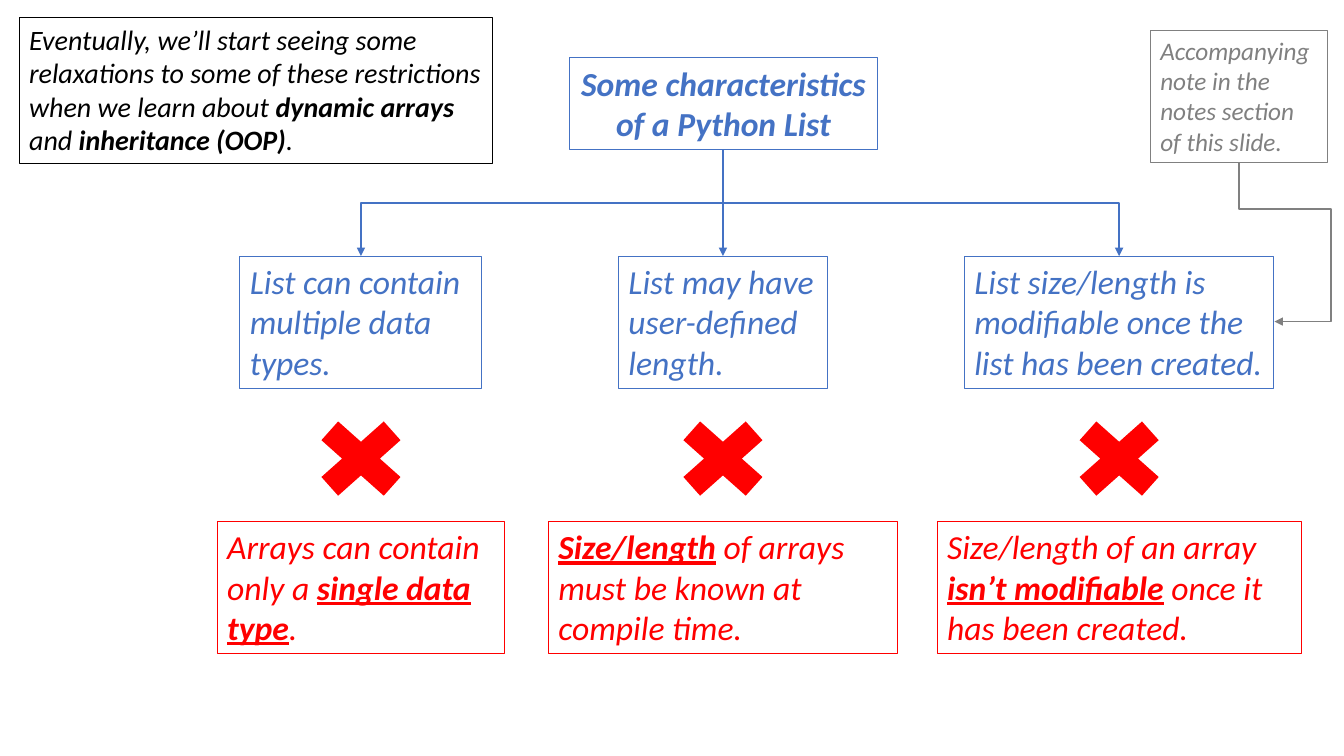
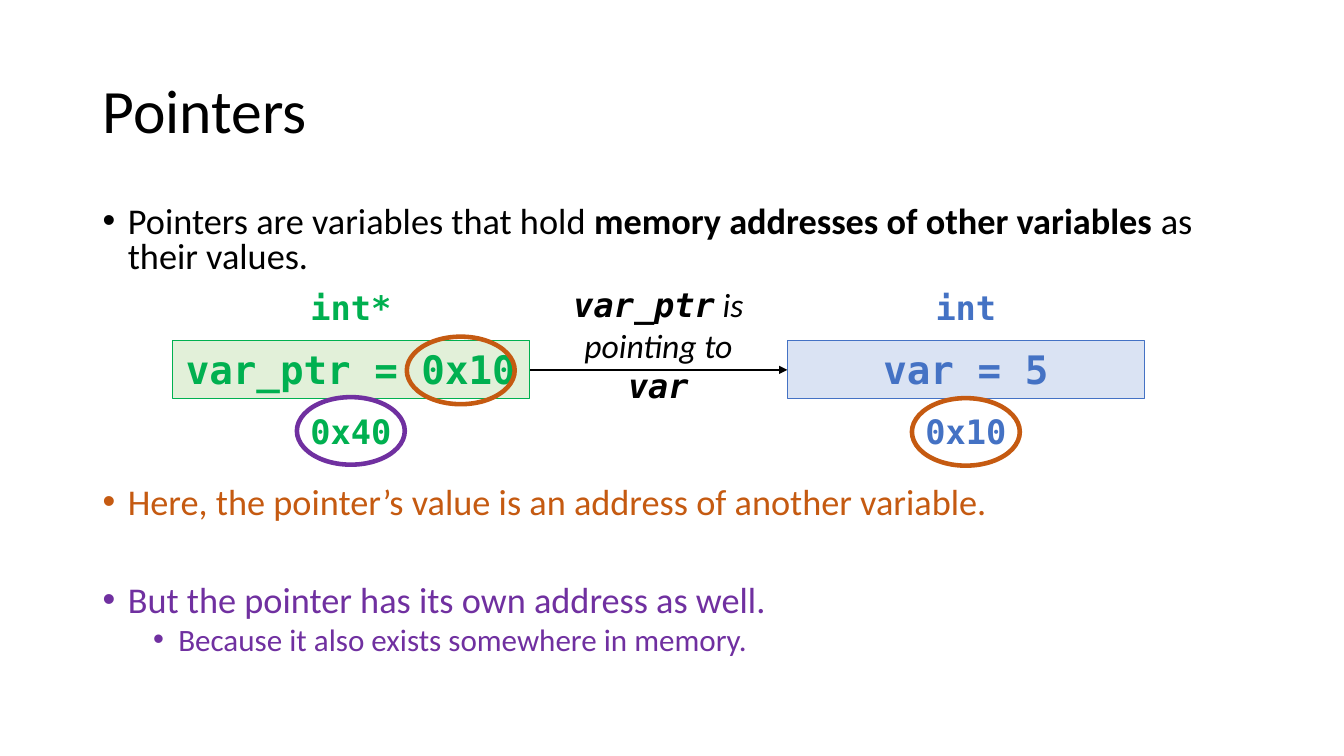
from lxml import etree
from pptx import Presentation
from pptx.dml.color import RGBColor
from pptx.enum import shapes, text
from pptx.oxml import ns
from pptx.util import Inches, Pt

BLACK = RGBColor(0x00, 0x00, 0x00)
GRAY = RGBColor(0x80, 0x80, 0x80)
BLUE = RGBColor(0x44, 0x72, 0xC4)
PALE_BLUE = RGBColor(0xDA, 0xE3, 0xF3)
GREEN = RGBColor(0x00, 0xB0, 0x50)
PALE_GREEN = RGBColor(0xE2, 0xF0, 0xD9)
RED = RGBColor(0xFF, 0x00, 0x00)
ORANGE = RGBColor(0xC5, 0x5A, 0x11)
PURPLE = RGBColor(0x70, 0x30, 0xA0)

SANS = "Calibri"
MONO = "DejaVu Sans Mono"
BOLD = {"bold": True}
KEY = {"bold": True, "underline": True}
CODE = {"name": MONO, "bold": True, "italic": True}

LEFT = text.PP_ALIGN.LEFT
CENTER = text.PP_ALIGN.CENTER
TOP = text.MSO_ANCHOR.TOP
MIDDLE = text.MSO_ANCHOR.MIDDLE


class Deck:
    def __init__(self):
        self.file = Presentation()
        self.file.slide_width = Inches(13.33)
        self.file.slide_height = Inches(7.5)
        self.page = None

    def new_page(self):
        self.page = self.file.slides.add_slide(self.file.slide_layouts[6])

    def fill_para(self, para, spans, size, color, font=SANS, bold=False, italic=False,
                  align=LEFT):
        """Fill a paragraph; a span is a string or (string, font settings that differ)."""
        para.alignment = align
        para.font.name = font
        para.font.size = Pt(size)
        para.font.color.rgb = color
        para.font.bold = bold
        para.font.italic = italic
        for span in spans:
            words, changes = (span, {}) if isinstance(span, str) else span
            run = para.add_run()
            run.text = words
            for name, value in changes.items():
                if name == "name":
                    run.font.name = value
                elif name == "bold":
                    run.font.bold = value
                elif name == "italic":
                    run.font.italic = value
                else:
                    run.font.underline = value

    def shape(self, kind, left, top, width, height, fill=None, line=None, weight=0.75):
        shape = self.page.shapes.add_shape(
            kind, Inches(left), Inches(top), Inches(width), Inches(height))
        shape.shadow.inherit = False
        if fill is None:
            shape.fill.background()
        else:
            shape.fill.solid()
            shape.fill.fore_color.rgb = fill
        if line is None:
            shape.line.fill.background()
        else:
            shape.line.color.rgb = line
            shape.line.width = Pt(weight)
        return shape

    def box(self, left, top, width, height, spans, size, color, fill=None, **style):
        """Text in a rectangle outlined in the text colour."""
        box = self.shape(shapes.MSO_SHAPE.RECTANGLE, left, top, width, height, fill, color)
        box.text_frame.word_wrap = True
        box.text_frame.vertical_anchor = TOP
        self.fill_para(box.text_frame.paragraphs[0], spans, size, color, **style)

    def frame(self, left, top, width, height, anchor=TOP):
        """Empty wrapping text frame."""
        box = self.page.shapes.add_textbox(
            Inches(left), Inches(top), Inches(width), Inches(height))
        box.text_frame.word_wrap = True
        box.text_frame.vertical_anchor = anchor
        return box.text_frame

    def label(self, left, top, width, height, spans, size, color, **style):
        frame = self.frame(left, top, width, height)
        self.fill_para(frame.paragraphs[0], spans, size, color, align=CENTER, **style)

    def title(self, words):
        para = self.frame(0.92, 0.4, 11.5, 1.45, MIDDLE).paragraphs[0]
        para.line_spacing = 0.9
        self.fill_para(para, [words], 44, BLACK)

    def bullets(self, items):
        """Bulleted body; an item is (level, space before, size, colour, spans)."""
        frame = self.frame(0.92, 2, 11.5, 4.76)
        for index, (level, space, size, color, spans) in enumerate(items):
            para = frame.add_paragraph() if index else frame.paragraphs[0]
            para.level = level
            para.line_spacing = 0.8
            if space:
                para.space_before = Pt(space)
            props = para._p.get_or_add_pPr()
            props.set("marL", str(Inches(0.25 + 0.5 * level)))
            props.set("indent", str(Inches(-0.25)))
            etree.SubElement(props, ns.qn("a:buFont")).set("typeface", "Arial")
            etree.SubElement(props, ns.qn("a:buChar")).set("char", "•")
            self.fill_para(para, spans, size, color)

    def ring(self, center, top, color):
        self.shape(shapes.MSO_SHAPE.OVAL, center - 0.535, top, 1.07, 0.67,
                   line=color, weight=3.25)

    def arrow(self, start, end, color, weight=1.5, kind=shapes.MSO_CONNECTOR.STRAIGHT):
        line = self.page.shapes.add_connector(kind, *map(Inches, (*start, *end)))
        line.line.color.rgb = color
        line.line.width = Pt(weight)
        props = line._element.spPr
        outline = props.find(ns.qn("a:ln"))
        etree.SubElement(outline, ns.qn("a:tailEnd")).set("type", "triangle")
        etree.SubElement(props, ns.qn("a:effectLst"))
        return line

    def drop_arrow(self, start, end, color, weight=1.5, bends=()):
        """Elbow arrow that leaves downwards: a sideways elbow turned by 90 degrees."""
        (x1, y1), (x2, y2) = start, end
        middle_x, middle_y = (x1 + x2) / 2, (y1 + y2) / 2
        half_width, half_height = (x2 - x1) / 2, (y2 - y1) / 2
        line = self.arrow((middle_x - half_height, middle_y + half_width),
                          (middle_x + half_height, middle_y - half_width),
                          color, weight, shapes.MSO_CONNECTOR.ELBOW)
        props = line._element.spPr
        props.find(ns.qn("a:xfrm")).set("rot", "5400000")
        if bends:
            preset = props.find(ns.qn("a:prstGeom"))
            preset.set("prst", f"bentConnector{len(bends) + 2}")
            guides = preset.find(ns.qn("a:avLst"))
            for number, bend in enumerate(bends, 1):
                guide = etree.SubElement(guides, ns.qn("a:gd"))
                guide.set("name", f"adj{number}")
                guide.set("fmla", f"val {round(bend * 100000)}")


def list_page(deck):
    deck.new_page()
    trunk = (7.17, 1.48)
    columns = [
        (3.58, 2.4, "List can contain multiple data types.",
         2.85, ["Arrays can contain only a ", ("single data type", KEY), "."]),
        (7.17, 2.07, "List may have user-defined length.",
         3.46, [("Size/length", KEY), " of arrays must be known at compile time."]),
        (11.1, 3.07, "List size/length is modifiable once the list has been created.",
         3.61, ["Size/length of an array ", ("isn’t modifiable", KEY),
                " once it has been created."]),
    ]
    deck.box(5.65, 0.57, 3.05, 0.91, ["Some characteristics of a Python List"],
             24, BLUE, bold=True, italic=True, align=CENTER)
    for center, list_width, list_trait, array_width, array_trait in columns:
        deck.box(center - list_width / 2, 2.54, list_width, 1.31, [list_trait],
                 24, BLUE, italic=True)
        connect = deck.arrow if center == trunk[0] else deck.drop_arrow
        connect(trunk, (center, 2.54), BLUE)
        deck.shape(shapes.MSO_SHAPE.MATH_MULTIPLY, center - 0.595, 4.02, 1.19, 1.06, fill=RED)
        deck.box(center - array_width / 2, 5.17, array_width, 1.31, array_trait,
                 24, RED, italic=True)
    deck.box(0.19, 0.17, 4.69, 1.45,
             ["Eventually, we’ll start seeing some relaxations to some of these "
              "restrictions when we learn about ", ("dynamic arrays", BOLD), " and ",
              ("inheritance (OOP)", BOLD), "."], 20, BLACK, italic=True)
    deck.box(11.41, 0.3, 1.76, 1.31, ["Accompanying note in the notes section of this slide."],
             18, GRAY, italic=True)
    deck.drop_arrow((12.29, 1.62), (12.64, 3.19), GRAY, 1.25, bends=(0.29, 2.6))


def pointer_page(deck):
    deck.new_page()
    deck.title("Pointers")
    deck.bullets([
        (0, 0, 25.9, BLACK, ["Pointers are variables that hold ",
                             ("memory addresses of other variables ", BOLD),
                             "as their values."]),
        (0, 151, 25.9, ORANGE, ["Here, the pointer’s value is an address of another variable."]),
        (0, 45, 25.9, PURPLE, ["But the pointer has its own address as well."]),
        (1, 5, 22.2, PURPLE, ["Because it also exists somewhere in memory."]),
    ])
    variables = [
        (9.58, "int", "var = 5", "0x10", BLUE, PALE_BLUE),
        (3.48, "int*", "var_ptr = 0x10", "0x40", GREEN, PALE_GREEN),
    ]
    for center, kind, value, address, color, fill in variables:
        deck.box(center - 1.77, 3.38, 3.54, 0.57, [value], 28, color, fill,
                 font=MONO, bold=True, align=CENTER)
        for top, words in ((2.8, kind), (4.03, address)):
            deck.label(center - 0.8, top, 1.6, 0.5, [words], 24, color, font=MONO, bold=True)
    deck.arrow((5.26, 3.67), (7.81, 3.67), BLACK)
    deck.label(5.56, 2.77, 1.94, 1.31,
               [("var_ptr", CODE), " is pointing to ", ("var", CODE)],
               24, BLACK, italic=True)
    for center, top, color in ((9.58, 3.95, ORANGE), (4.57, 3.34, ORANGE), (3.48, 3.94, PURPLE)):
        deck.ring(center, top, color)


def main():
    deck = Deck()
    list_page(deck)
    pointer_page(deck)
    deck.file.save("out.pptx")


if __name__ == "__main__":
    main()
